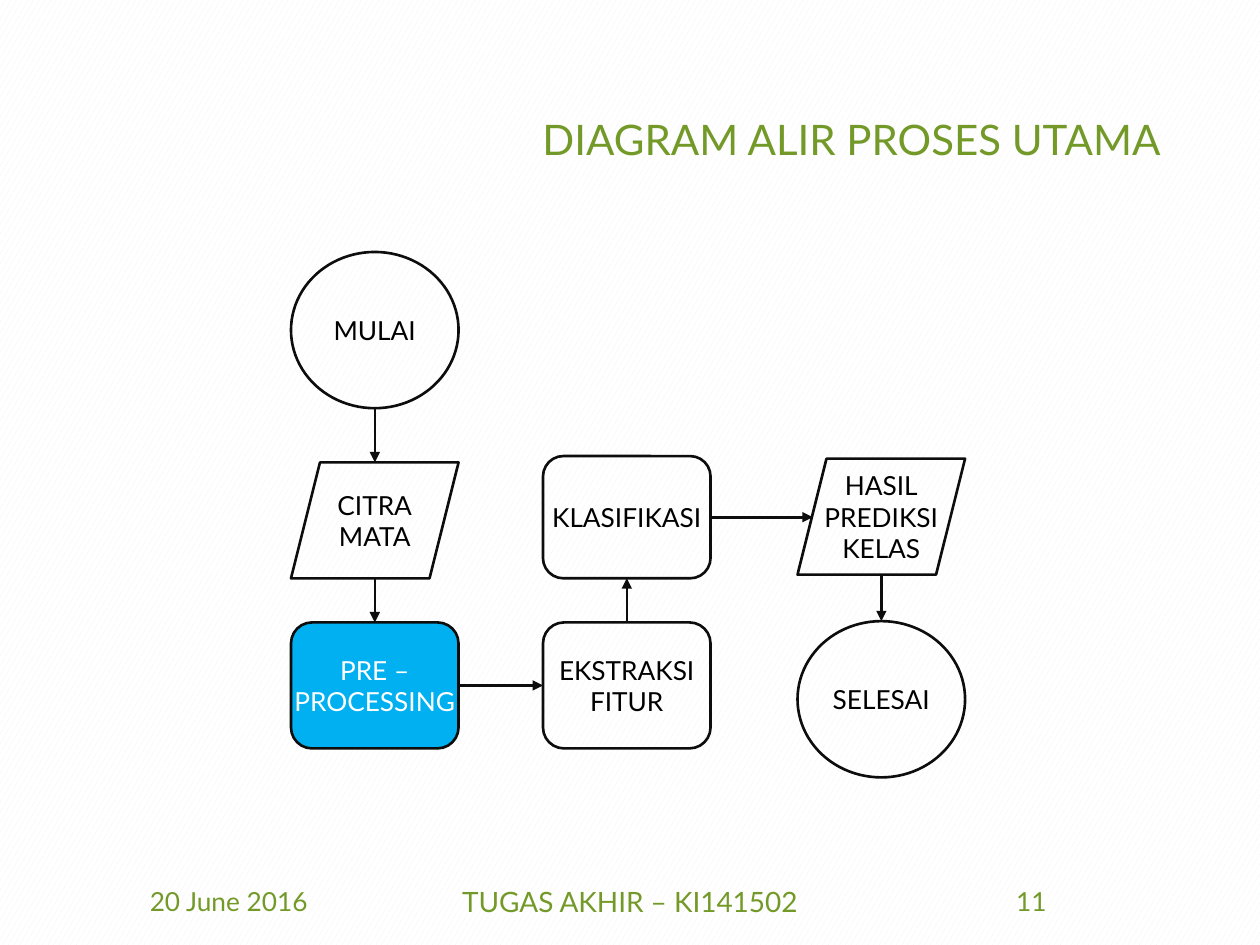
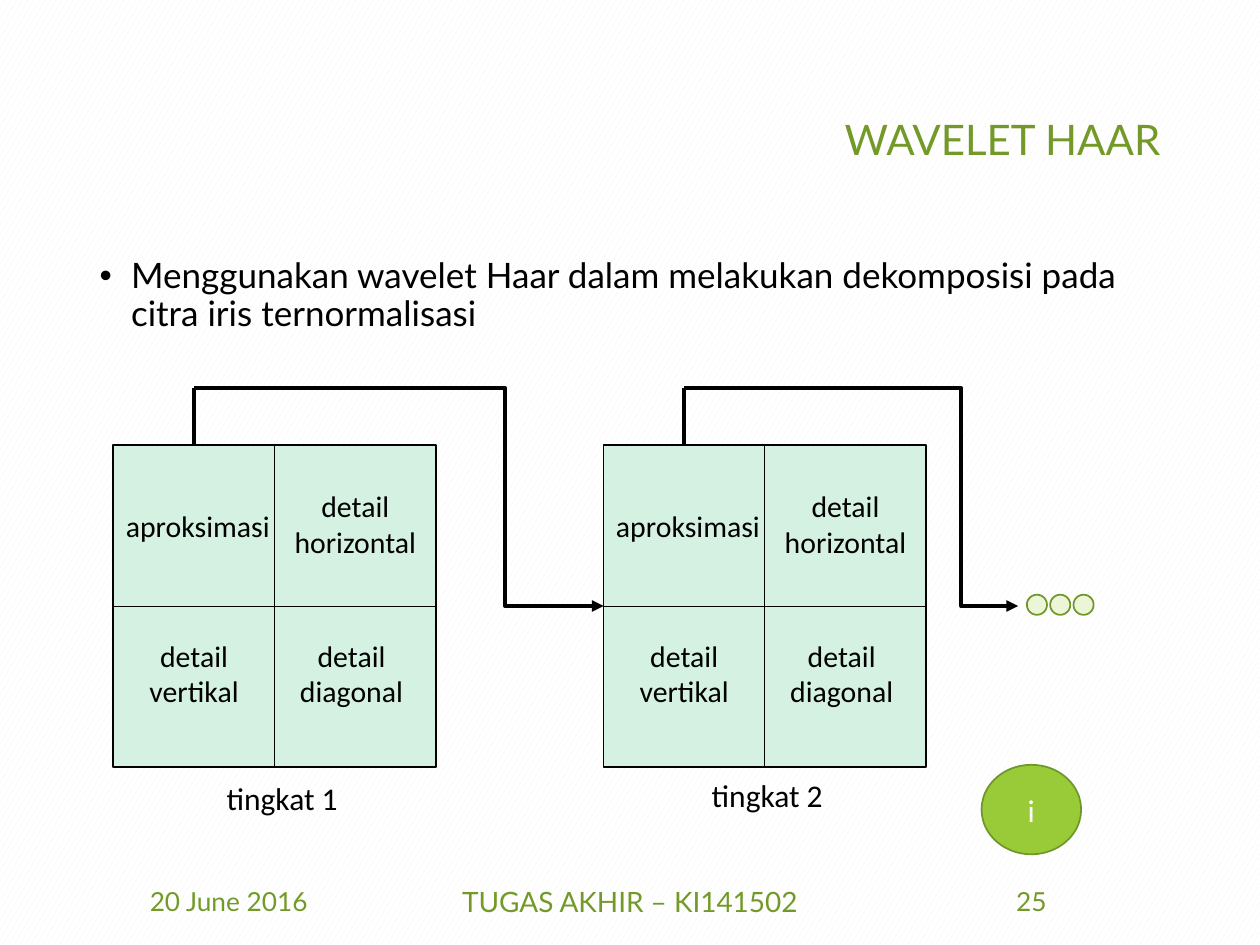
"""Builds two slides: the main process flow and the Haar wavelet levels."""
from collections import namedtuple

from lxml import etree
from pptx import Presentation, util as u
from pptx.dml import color as colors
from pptx.enum import dml, shapes, text
from pptx.oxml import ns

COLUMNS, ROWS = 100, 75
GREEN, BLACK, WHITE, INK = "739A28", "000000", "FFFFFF", "0D0D0D"
MINT, PALE, LEAF, RIM, BLUE = "D4F1E2", "EBF5D7", "99CB38", "719629", "00B0F0"
TOP, LEFT, BOTTOM, RIGHT = range(4)
KIND = shapes.MSO_SHAPE
ALIGN = {"l": text.PP_ALIGN.LEFT, "c": text.PP_ALIGN.CENTER, "r": text.PP_ALIGN.RIGHT}
Side = namedtuple("Side", "box site")


def rgb(value):
    """Turn a hex string into a colour."""
    return colors.RGBColor.from_string(value)


def write(frame, words, size=15, font="Lato", color=BLACK, align="c",
          middle=True, wrap=True, spacing=1.0, indent=0):
    """Fill a text frame, one paragraph for each line of words."""
    frame.word_wrap = wrap
    frame.auto_size = text.MSO_AUTO_SIZE.NONE
    frame.vertical_anchor = text.MSO_ANCHOR.MIDDLE if middle else text.MSO_ANCHOR.TOP
    for number, line in enumerate(words.split("\n")):
        para = frame.add_paragraph() if number else frame.paragraphs[0]
        para.alignment = ALIGN[align]
        para.line_spacing = spacing
        para.space_before = u.Pt(0)
        if indent:
            properties = para._p.get_or_add_pPr()
            properties.set("marL", str(indent))
            properties.set("indent", str(-indent))
            etree.SubElement(properties, ns.qn("a:buChar"), char="•")
        span = para.add_run()
        span.text = line
        span.font.size = u.Pt(size)
        span.font.name = font
        span.font.color.rgb = rgb(color)


class Board:
    """Holds the shared style and the current slide."""

    def __init__(self):
        """Start a deck with the patterned background."""
        self.deck = Presentation()
        self.deck.slide_width, self.deck.slide_height = u.Inches(10), u.Inches(7.5)
        fill = self.deck.slide_master.background.fill
        fill.patterned()
        fill.pattern = dml.MSO_PATTERN.LARGE_CONFETTI
        fill.fore_color.rgb, fill.back_color.rgb = rgb("F2F2F2"), rgb(WHITE)

    def grid(self, *lengths):
        """Convert alternating columns and rows to slide lengths."""
        units = (self.deck.slide_width / COLUMNS, self.deck.slide_height / ROWS)
        return [round(length * units[i % 2]) for i, length in enumerate(lengths)]

    def place(self, holder, *area):
        """Move a placeholder to an area of the grid."""
        holder.left, holder.top, holder.width, holder.height = self.grid(*area)
        return holder.text_frame

    def page(self, title, number, body=None):
        """Add a slide with its title, footers and optional list."""
        self.slide = self.deck.slides.add_slide(self.deck.slide_layouts[1 if body else 5])
        write(self.place(self.slide.shapes.title, 6.9, 4, 86.2, 14.5), title,
              size=24, color=GREEN, align="r", spacing=0.9)
        if body:
            write(self.place(self.slide.placeholders[1], 6.9, 20, 86.2, 47.6), body,
                  size=20, align="l", middle=False, spacing=0.9, indent=self.grid(2.5)[0])
        footers = [(6.9, 22.5, "20 June 2016", 15),
                   (33.1, 33.8, "TUGAS AKHIR – KI141502", 16),
                   (70.6, 22.5, number, 15)]
        for left, width, words, size in footers:
            self.label((left, 69.5, width, 4), words, size=size, color=GREEN)

    def label(self, area, words, **style):
        """Add a text box."""
        box = self.slide.shapes.add_textbox(*self.grid(*area))
        write(box.text_frame, words, **style)

    def shape(self, kind, area, words="", fill=None, line=INK, weight=1.5, **style):
        """Add a preset shape with optional text."""
        box = self.slide.shapes.add_shape(kind, *self.grid(*area))
        box.shadow.inherit = False
        if fill:
            box.fill.solid()
            box.fill.fore_color.rgb = rgb(fill)
        else:
            box.fill.background()
        box.line.color.rgb = rgb(line)
        box.line.width = u.Pt(weight)
        if words:
            write(box.text_frame, words, **style)
        return box

    def link(self, start, end, color=INK, weight=1.5, arrow=True, bend=None):
        """Join two points or sides, bending at a share of the width."""
        kind = shapes.MSO_CONNECTOR.ELBOW if bend else shapes.MSO_CONNECTOR.STRAIGHT
        points = [(0, 0) if isinstance(spot, Side) else spot for spot in (start, end)]
        wire = self.slide.shapes.add_connector(kind, *self.grid(*points[0], *points[1]))
        for spot, connect in ((start, wire.begin_connect), (end, wire.end_connect)):
            if isinstance(spot, Side):
                connect(*spot)
        wire.line.color.rgb = rgb(color)
        wire.line.width = u.Pt(weight)
        frame = wire._element.spPr
        if arrow:
            etree.SubElement(frame.find(ns.qn("a:ln")), ns.qn("a:tailEnd"), type="triangle")
        if bend:
            guides = frame.find(ns.qn("a:prstGeom")).find(ns.qn("a:avLst"))
            etree.SubElement(guides, ns.qn("a:gd"), name="adj1", fmla=f"val {round(bend * 100000)}")
        etree.SubElement(frame, ns.qn("a:effectLst"))


def process_flow(board):
    """Draw the main process flow chart."""
    board.page("DIAGRAM ALIR PROSES UTAMA", "11")
    width, lower = 13.3, 49.4
    first, second, third = 23.1, 43.1, 63.3
    center, last = first + width / 2, third + width / 2

    def step(kind, left, top, height, words, fill=None, color=BLACK):
        return board.shape(kind, (left, top, width, height), words, fill,
                           color=color, wrap=False)

    step(KIND.OVAL, first, 20, 12.4, "MULAI")
    step(KIND.PARALLELOGRAM, first, 36.7, 9.2, "CITRA\nMATA")
    prepare = step(KIND.ROUNDED_RECTANGLE, first, lower, 10, "PRE –\nPROCESSING", BLUE, WHITE)
    extract = step(KIND.ROUNDED_RECTANGLE, second, lower, 10, "EKSTRAKSI\nFITUR")
    classify = step(KIND.ROUNDED_RECTANGLE, second, 36.2, 9.7, "KLASIFIKASI")
    step(KIND.PARALLELOGRAM, third, 36.4, 9.2, "HASIL\nPREDIKSI\nKELAS")
    step(KIND.OVAL, third, 49.3, 12.4, "SELESAI")

    board.link((center, 32.4), (center, 36.7))
    board.link((center, 45.9), Side(prepare, TOP))
    board.link(Side(prepare, RIGHT), Side(extract, LEFT))
    board.link(Side(extract, TOP), Side(classify, BOTTOM))
    board.link(Side(classify, RIGHT), (64.5, 41.05))
    board.link((last, 45.6), (last, 49.3))


def wavelet_level(board, left, caption, caption_left, caption_top, bend_end, bend):
    """Draw one decomposition square and the arrow leaving it."""
    top, side = 35.3, 25.6
    square = board.shape(KIND.RECTANGLE, (left, top, side, side), fill=MINT,
                         line=BLACK, weight=1)
    for start, end in ((TOP, BOTTOM), (LEFT, RIGHT)):
        board.link(Side(square, start), Side(square, end), BLACK, 0.5, arrow=False)
    bands = [(0, 4.5, "aproksimasi", "l"), (12.1, 2.95, "detail\nhorizontal", "c"),
             (-0.7, 14.8, "detail\nvertikal", "c"), (11.8, 14.8, "detail\ndiagonal", "c")]
    for across, down, words, align in bands:
        board.label((left + across, top + down, 14.2, 6.7), words, size=17,
                    font="Calibri", align=align, middle=False)
    board.label((caption_left, caption_top, 11.1, 4), caption, size=18,
                font="Calibri", align="l", middle=False)
    exit_point = (left + side / 4, 30.8)
    board.link((exit_point[0], top), exit_point, BLACK, 2.25, arrow=False)
    board.link(exit_point, (bend_end, top + side / 2), BLACK, 2.25, bend=bend)


def wavelet(board):
    """Draw the two wavelet levels and what follows them."""
    board.page("WAVELET HAAR", "25",
               "Menggunakan wavelet Haar dalam melakukan dekomposisi pada citra iris ternormalisasi")
    wavelet_level(board, 9, "tingkat 1", 17, 61.3, 47.9, 0.76)
    wavelet_level(board, 47.9, "tingkat 2", 55.5, 61.1, 80.8, 0.83)
    for dot in range(3):
        board.shape(KIND.OVAL, (81.5 + 1.85 * dot, 47.2, 1.6, 1.6), fill=PALE, line=RIM, weight=1)
    board.shape(KIND.OVAL, (77.9, 60.7, 7.9, 7.1), "i", LEAF, RIM, 1,
                size=18, font="Calibri", color=WHITE)


def main():
    """Build and save the deck."""
    board = Board()
    process_flow(board)
    wavelet(board)
    board.deck.save("out.pptx")


if __name__ == "__main__":
    main()
